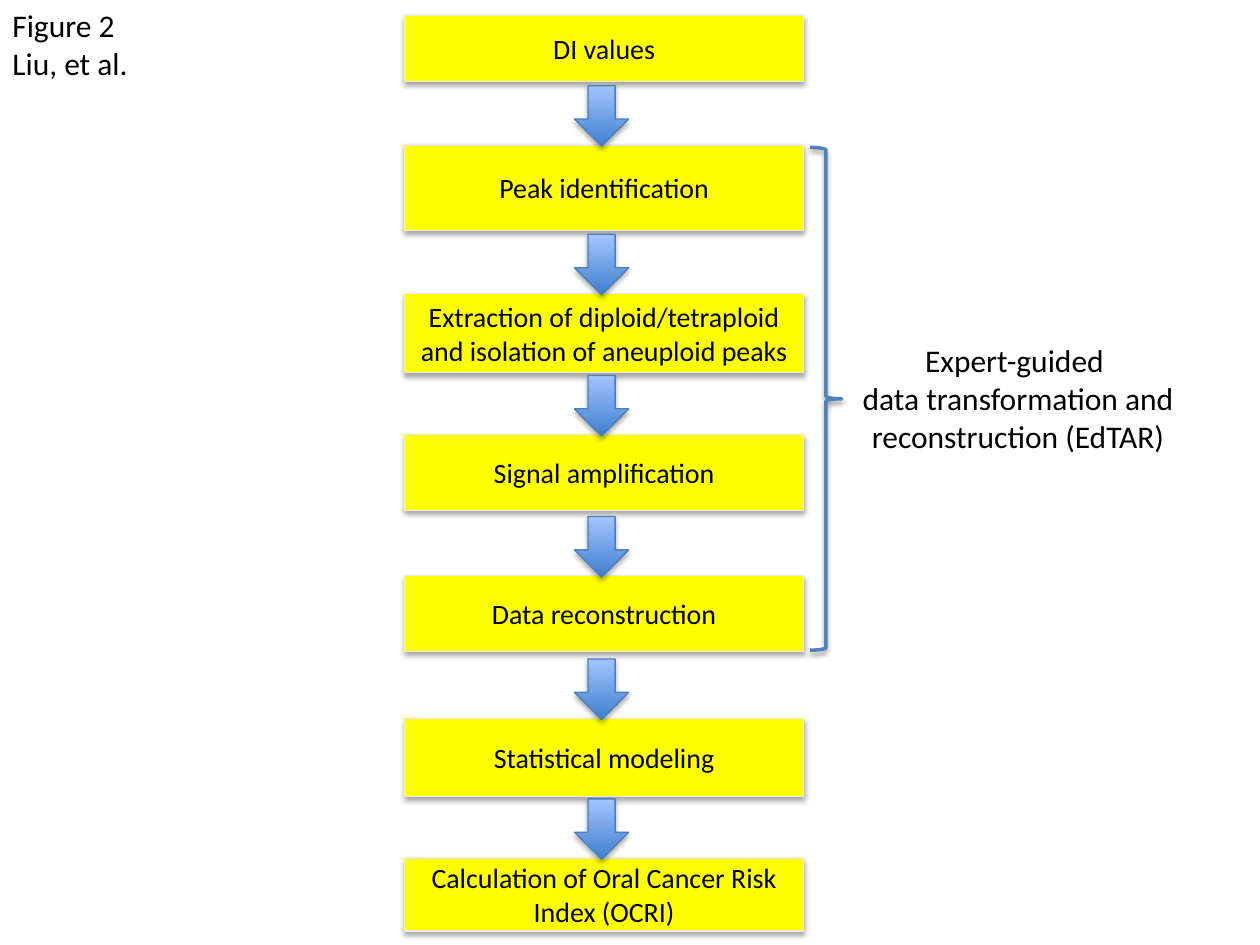
from lxml import etree
from pptx import Presentation
from pptx import util as u
from pptx.dml.color import RGBColor
from pptx.enum import shapes, text
from pptx.oxml.ns import qn

# Content: label, top and height of each step
STEPS = [
    ("DI values", 0.12, 0.53),
    ("Peak identification", 1.15, 0.68),
    ("Extraction of diploid/tetraploid and isolation of aneuploid peaks", 2.33, 0.63),
    ("Signal amplification", 3.45, 0.6),
    ("Data reconstruction", 4.57, 0.6),
    ("Statistical modeling", 5.7, 0.62),
    ("Calculation of Oral Cancer Risk Index (OCRI)", 6.81, 0.58),
]
BRACED = (1, 4)  # first and last step held by the brace
CAPTION = ["Figure 2", "Liu, et al."]
BRACE_LABEL = ["Expert-guided ", "data transformation and reconstruction (EdTAR)"]

COLORS = {
    "step": "FFFF00", "step_line": "EEECE1", "text": "000000",
    "arrow_low": "3F80CE", "arrow_high": "A4C4FF", "arrow_line": "4B7EBC",
    "brace": "4F81BD", "shadow": "000000",
}
FONT = "Calibri"
STEP_LEFT, STEP_WIDTH = 3.21, 3.17
ARROW_WIDTH, ARROW_HEIGHT, ARROW_OVERLAP = 0.43, 0.48, 0.01
BRACE_GAP, BRACE_WIDTH, BRACE_INSET = 0.05, 0.25, 0.02
LABEL_WIDTH, LABEL_HEIGHT = 2.74, 1.01


def color(name):
    return RGBColor.from_string(COLORS[name])


def write(box, lines, size, align, anchor, wrap=True):
    frame = box.text_frame
    frame.word_wrap = wrap
    frame.vertical_anchor = anchor
    for index, line in enumerate(lines):
        para = frame.paragraphs[0] if index == 0 else frame.add_paragraph()
        para.alignment = align
        span = para.add_run()
        span.text = line
        span.font.size = u.Pt(size)
        span.font.name = FONT
        span.font.color.rgb = color("text")


def add_shadow(shape, opacity, distance):
    shape.shadow.inherit = False
    effects = shape._element.spPr.find(qn("a:effectLst"))
    shadow = etree.SubElement(
        effects, qn("a:outerShdw"), blurRad=str(u.Pt(3.1)),
        dist=str(u.Pt(distance)), dir="5400000", rotWithShape="0")
    tint = etree.SubElement(shadow, qn("a:srgbClr"), val=COLORS["shadow"])
    etree.SubElement(tint, qn("a:alpha"), val=str(opacity * 1000))


def add_shape(page, kind, place, line, line_width=0.75, opacity=35, distance=1.8):
    shape = page.shapes.add_shape(kind, *map(u.Inches, place))
    shape.line.color.rgb = color(line)
    shape.line.width = u.Pt(line_width)
    add_shadow(shape, opacity, distance)
    return shape


def add_step(page, label, top, height):
    box = add_shape(page, shapes.MSO_SHAPE.RECTANGLE,
                    (STEP_LEFT, top, STEP_WIDTH, height), "step_line")
    box.fill.solid()
    box.fill.fore_color.rgb = color("step")
    write(box, [label], 16, text.PP_ALIGN.CENTER, text.MSO_ANCHOR.MIDDLE)


def add_arrow(page, next_top):
    left = STEP_LEFT + (STEP_WIDTH - ARROW_WIDTH) / 2 - 0.02
    top = next_top + ARROW_OVERLAP - ARROW_HEIGHT
    arrow = add_shape(page, shapes.MSO_SHAPE.DOWN_ARROW,
                      (left, top, ARROW_WIDTH, ARROW_HEIGHT), "arrow_line")
    arrow.fill.gradient()
    arrow.fill.gradient_angle = 90
    for stop, name in zip(arrow.fill.gradient_stops, ("arrow_low", "arrow_high")):
        stop.color.rgb = color(name)


def add_label(page, place, lines, align, wrap):
    box = page.shapes.add_textbox(*map(u.Inches, place))
    write(box, lines, 18, align, text.MSO_ANCHOR.TOP, wrap)
    box.text_frame.auto_size = text.MSO_AUTO_SIZE.SHAPE_TO_FIT_TEXT


def main():
    deck = Presentation()
    deck.slide_width, deck.slide_height = u.Inches(10), u.Inches(7.5)
    page = deck.slides.add_slide(deck.slide_layouts[6])

    # Flow of steps, with an arrow into each step after the first
    for step in STEPS:
        add_step(page, *step)
    for _, top, _ in STEPS[1:]:
        add_arrow(page, top)

    # Brace around the middle steps, with its label
    first, last = (STEPS[index] for index in BRACED)
    brace_left = STEP_LEFT + STEP_WIDTH + BRACE_GAP
    brace_top = first[1] + BRACE_INSET
    brace_height = last[1] + last[2] - 0.01 - brace_top
    brace = add_shape(page, shapes.MSO_SHAPE.RIGHT_BRACE,
                      (brace_left, brace_top, BRACE_WIDTH, brace_height),
                      "brace", 2, 38, 1.6)
    brace.fill.background()
    label_top = brace_top + (brace_height - LABEL_HEIGHT) / 2
    add_label(page, (brace_left + BRACE_WIDTH + 0.03, label_top, LABEL_WIDTH, LABEL_HEIGHT),
              BRACE_LABEL, text.PP_ALIGN.CENTER, True)

    # Figure caption in the corner
    add_label(page, (0, 0, 1.13, 0.71), CAPTION, text.PP_ALIGN.LEFT, False)
    deck.save("out.pptx")


if __name__ == "__main__":
    main()
